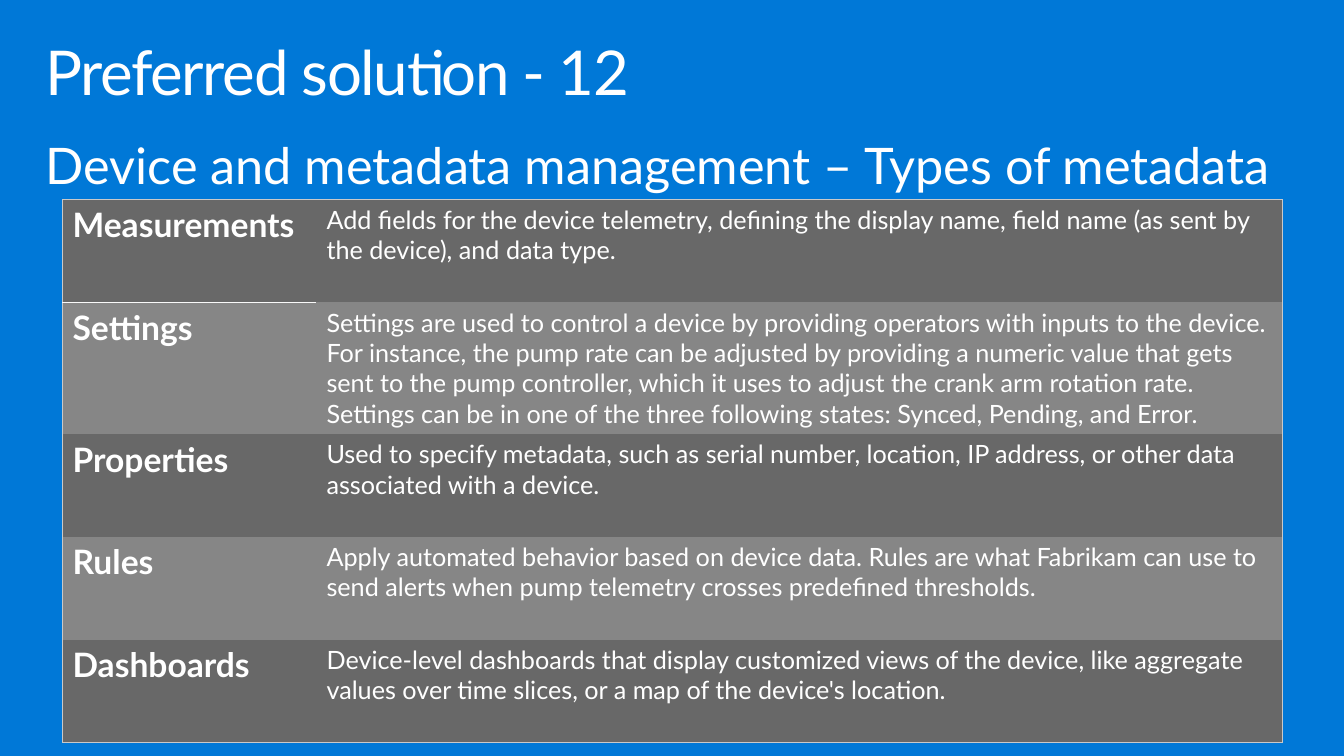
"""Build the slide that lists the types of device metadata."""
from dataclasses import dataclass

from pptx import Presentation
from pptx.dml.color import RGBColor
from pptx.enum.text import MSO_ANCHOR, MSO_AUTO_SIZE, PP_ALIGN
from pptx.oxml import parse_xml
from pptx.oxml.ns import nsdecls
from pptx.util import Pt

TOP = MSO_ANCHOR.TOP
NO_AUTOFIT = MSO_AUTO_SIZE.NONE
LEFT = PP_ALIGN.LEFT

FONT_NAME = "Lato"
BLUE, WHITE = "0078D7", "FFFFFF"
ROW_FILLS = ("686868", "868686")
FRAME_FORMAT = {
    "word_wrap": True, "auto_size": NO_AUTOFIT, "vertical_anchor": TOP,
    "margin_left": Pt(11.52), "margin_right": Pt(11.52),
    "margin_top": Pt(7.2), "margin_bottom": Pt(7.2),
}
HEADING_FORMAT = {"alignment": LEFT, "line_spacing": 0.9, "space_before": Pt(0)}
COLUMN_WIDTHS = (181.44, 689.76)
TABLE_LEFT, TABLE_TOP = 44.64, 142.56
ROW_HEIGHT = 73.44


@dataclass(frozen=True)
class Heading:
    """A placeholder heading with its position and type size."""
    index: int
    text: str
    position: tuple[float, float, float, float]
    size: float
    spacing: int = 0


@dataclass(frozen=True)
class MetadataType:
    """One table row: a type of metadata and its description."""
    name: str
    description: str
    height: float = ROW_HEIGHT


@dataclass(frozen=True)
class Border:
    """A cell border."""
    color: str
    width: float
    opacity: int = 100


FRAME_BORDER = Border("C9C9C9", 0.75)
DIVIDER = Border("F9F9F9", 1.35, 50)

HEADINGS = (
    Heading(0, "Preferred solution - 12", (20.88, 23.04, 918, 70.56), 44.1, -100),
    Heading(1, "Device and metadata management – Types of metadata",
            (20.88, 93.6, 917.28, 485.28), 36),
)
METADATA_TYPES = (
    MetadataType("Measurements", "Add fields for the device telemetry, defining the display name, "
                 "field name (as sent by the device), and data type."),
    MetadataType("Settings", "Settings are used to control a device by providing operators with "
                 "inputs to the device. For instance, the pump rate can be adjusted by providing "
                 "a numeric value that gets sent to the pump controller, which it uses to adjust "
                 "the crank arm rotation rate. Settings can be in one of the three following "
                 "states: Synced, Pending, and Error.", 94),
    MetadataType("Properties", "Used to specify metadata, such as serial number, location, "
                 "IP address, or other data associated with a device."),
    MetadataType("Rules", "Apply automated behavior based on device data. Rules are what Fabrikam "
                 "can use to send alerts when pump telemetry crosses predefined thresholds."),
    MetadataType("Dashboards", "Device-level dashboards that display customized views of the "
                 "device, like aggregate values over time slices, or a map of the device's "
                 "location."),
)


def set_color(target, color: str) -> None:
    """Give a fill a solid colour."""
    target.solid()
    target.fore_color.rgb = RGBColor.from_string(color)


def apply_format(target, values: dict) -> None:
    """Set every attribute named in the format values."""
    for name, value in values.items():
        setattr(target, name, value)


def add_text(paragraph, text: str, size: float, bold: bool = False):
    """Add a white run to a paragraph and return it."""
    run = paragraph.add_run()
    run.text = text
    apply_format(run.font, {"name": FONT_NAME, "size": Pt(size), "bold": bold})
    set_color(run.font.fill, WHITE)
    return run


def fill_heading(slide, heading: Heading) -> None:
    """Move, fill and format a placeholder."""
    shape = slide.placeholders[heading.index]
    names = ("left", "top", "width", "height")
    apply_format(shape, dict(zip(names, map(Pt, heading.position))))
    apply_format(shape.text_frame, FRAME_FORMAT)
    paragraph = shape.text_frame.paragraphs[0]
    properties = paragraph._p.get_or_add_pPr()
    properties.set("marL", "0")
    properties.set("indent", "0")
    properties.append(parse_xml(f"<a:buNone {nsdecls('a')}/>"))
    apply_format(paragraph, HEADING_FORMAT)
    run = add_text(paragraph, heading.text, heading.size)
    run._r.get_or_add_rPr().set("spc", str(heading.spacing))


def add_border(cell, side: str, border: Border | None) -> None:
    """Draw one side of a cell, or clear it."""
    if border is None:
        xml = f'<a:ln{side} {nsdecls("a")} w="0"><a:noFill/></a:ln{side}>'
    else:
        xml = (f'<a:ln{side} {nsdecls("a")} w="{Pt(border.width)}"><a:solidFill>'
               f'<a:srgbClr val="{border.color}"><a:alpha val="{border.opacity * 1000}"/>'
               f'</a:srgbClr></a:solidFill></a:ln{side}>')
    cell._tc.get_or_add_tcPr().append(parse_xml(xml))


def cell_borders(row: int, column: int) -> dict[str, Border | None]:
    """Return the four borders of a cell: outer frame and first divider."""
    last_row, last_column = len(METADATA_TYPES) - 1, len(COLUMN_WIDTHS) - 1
    divider = DIVIDER if column == 0 else None
    return {
        "L": FRAME_BORDER if column == 0 else None,
        "R": FRAME_BORDER if column == last_column else None,
        "T": {0: FRAME_BORDER, 1: divider}.get(row),
        "B": {0: divider, last_row: FRAME_BORDER}.get(row),
    }


def add_metadata_table(slide) -> None:
    """Add the table of metadata types."""
    height = sum(item.height for item in METADATA_TYPES)
    table = slide.shapes.add_table(
        len(METADATA_TYPES), len(COLUMN_WIDTHS), Pt(TABLE_LEFT), Pt(TABLE_TOP),
        Pt(sum(COLUMN_WIDTHS)), Pt(height)).table
    apply_format(table, {"first_row": False, "horz_banding": False})
    for column, width in zip(table.columns, COLUMN_WIDTHS):
        column.width = Pt(width)
    for row, item in enumerate(METADATA_TYPES):
        table.rows[row].height = Pt(item.height)
        contents = ((item.name, 24, True), (item.description, 18, False))
        for column, (text, size, bold) in enumerate(contents):
            cell = table.cell(row, column)
            add_text(cell.text_frame.paragraphs[0], text, size, bold)
            for side, border in cell_borders(row, column).items():
                add_border(cell, side, border)
            set_color(cell.fill, ROW_FILLS[row % 2])


def main() -> None:
    """Build and save the presentation."""
    presentation = Presentation()
    apply_format(presentation, {"slide_width": Pt(960), "slide_height": Pt(540)})
    slide = presentation.slides.add_slide(presentation.slide_layouts[1])
    set_color(slide.background.fill, BLUE)
    for heading in HEADINGS:
        fill_heading(slide, heading)
    add_metadata_table(slide)
    presentation.save("out.pptx")


if __name__ == "__main__":
    main()
